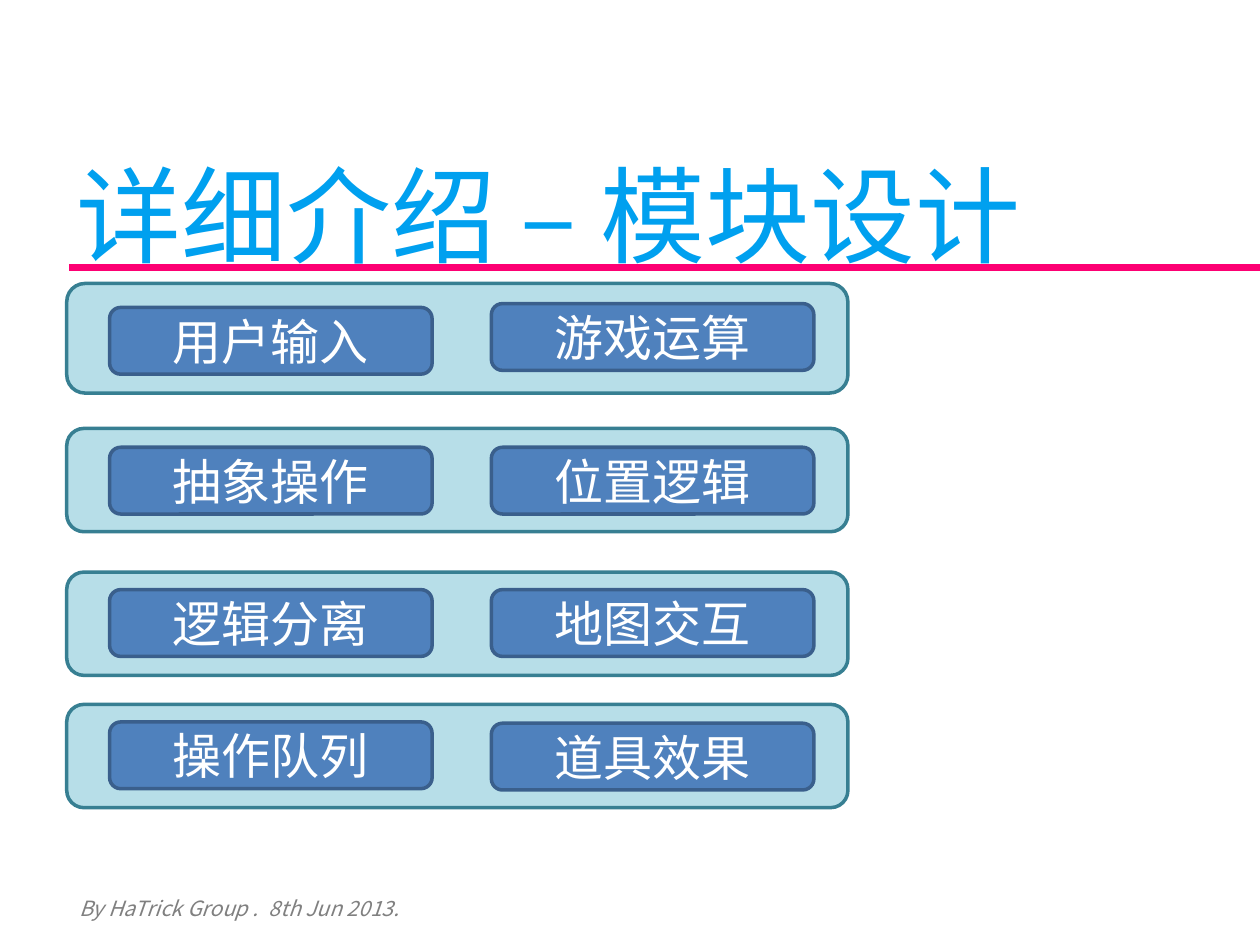
from lxml import etree
from pptx import Presentation
from pptx.dml.color import RGBColor
from pptx.enum.shapes import MSO_CONNECTOR, MSO_SHAPE
from pptx.enum.text import MSO_ANCHOR, MSO_AUTO_SIZE, PP_ALIGN
from pptx.oxml.ns import qn
from pptx.util import Inches, Pt

# Module rows: panel top and height, then each module's name and top
ROWS = [
    (2.25, 0.87, [("用户输入", 2.44), ("游戏运算", 2.41)]),
    (3.40, 0.82, [("抽象操作", 3.55), ("位置逻辑", 3.55)]),
    (4.54, 0.82, [("逻辑分离", 4.68), ("地图交互", 4.68)]),
    (5.59, 0.82, [("操作队列", 5.73), ("道具效果", 5.74)]),
]
COLUMN_LEFTS = (0.87, 3.9)


def color(value):
    return RGBColor.from_string(value)


def apply(target, values):
    for name, value in values.items():
        setattr(target, name, value)


class SlideBuilder:
    CJK_FONT = "Noto Sans CJK SC"
    TITLE_FONT = {"name": CJK_FONT, "size": Pt(60)}
    FOOTER_FONT = {"name": CJK_FONT, "size": Pt(12), "italic": True}
    MODULE_FONT = {"name": "Calibri", "size": Pt(28)}
    PANEL_COLORS = ("B7DEE8", "377F92")
    MODULE_COLORS = ("4F81BD", "3A5F8C")

    def __init__(self, slide):
        self.slide = slide

    def add_run(self, paragraph, text, font, text_color, spacing=None):
        run = paragraph.add_run()
        run.text = text
        apply(run.font, font)
        run.font.color.rgb = color(text_color)
        properties = run.font._element
        if font["name"] == self.CJK_FONT:
            etree.SubElement(properties, qn("a:ea"), typeface=self.CJK_FONT)
        if spacing is not None:
            properties.set("spc", str(spacing))

    def title(self, text):
        shape = self.slide.shapes.title
        apply(shape, {"left": Inches(0.61), "top": Inches(1),
                      "width": Inches(7.68), "height": Inches(1.26)})
        apply(shape.text_frame, {
            "margin_left": 0, "margin_top": 0, "margin_right": 0,
            "margin_bottom": Inches(0.05), "word_wrap": False,
            "auto_size": MSO_AUTO_SIZE.SHAPE_TO_FIT_TEXT,
            "vertical_anchor": MSO_ANCHOR.TOP})
        paragraph = shape.text_frame.paragraphs[0]
        apply(paragraph, {"alignment": PP_ALIGN.LEFT, "line_spacing": Pt(86)})
        self.add_run(paragraph, text, self.TITLE_FONT, "00A0EF")

    def rule(self, left, right, y):
        connector = self.slide.shapes.add_connector(
            MSO_CONNECTOR.STRAIGHT, Inches(left), Inches(y), Inches(right), Inches(y))
        connector.line.color.rgb = color("FD0073")
        connector.line.width = Pt(4)
        etree.SubElement(connector._element.spPr, qn("a:effectLst"))

    def footer(self, parts):
        box = self.slide.shapes.add_textbox(
            Inches(0.53), Inches(7.06), Inches(2.83), Inches(0.3))
        apply(box.text_frame, {"word_wrap": True,
                               "auto_size": MSO_AUTO_SIZE.SHAPE_TO_FIT_TEXT})
        for text, spacing in parts:
            self.add_run(box.text_frame.paragraphs[0], text,
                         self.FOOTER_FONT, "808080", spacing)

    def rounded_box(self, left, top, width, height, colors):
        shape = self.slide.shapes.add_shape(
            MSO_SHAPE.ROUNDED_RECTANGLE,
            Inches(left), Inches(top), Inches(width), Inches(height))
        shape.shadow.inherit = False
        fill_color, line_color = colors
        shape.fill.solid()
        shape.fill.fore_color.rgb = color(fill_color)
        shape.line.color.rgb = color(line_color)
        shape.line.width = Pt(2)
        return shape

    def panel(self, top, height):
        self.rounded_box(0.53, top, 6.2, height, self.PANEL_COLORS)

    def module(self, text, left, top):
        shape = self.rounded_box(left, top, 2.56, 0.53, self.MODULE_COLORS)
        shape.text_frame.vertical_anchor = MSO_ANCHOR.MIDDLE
        paragraph = shape.text_frame.paragraphs[0]
        paragraph.alignment = PP_ALIGN.CENTER
        self.add_run(paragraph, text, self.MODULE_FONT, "FFFFFF")


def main():
    presentation = Presentation()
    apply(presentation, {"slide_width": Inches(10), "slide_height": Inches(7.5)})
    slide = presentation.slides.add_slide(presentation.slide_layouts[5])
    builder = SlideBuilder(slide)

    # Heading, rule and footer
    builder.title("详细介绍 – 模块设计")
    builder.rule(0.55, 10, 2.12)
    builder.footer([("By HaTrick Group ", None), (".", 300), (" 8th Jun 2013.", 0)])

    # Panels with two modules each
    for panel_top, panel_height, modules in ROWS:
        builder.panel(panel_top, panel_height)
        for left, (text, top) in zip(COLUMN_LEFTS, modules):
            builder.module(text, left, top)

    presentation.save("out.pptx")


if __name__ == "__main__":
    main()
